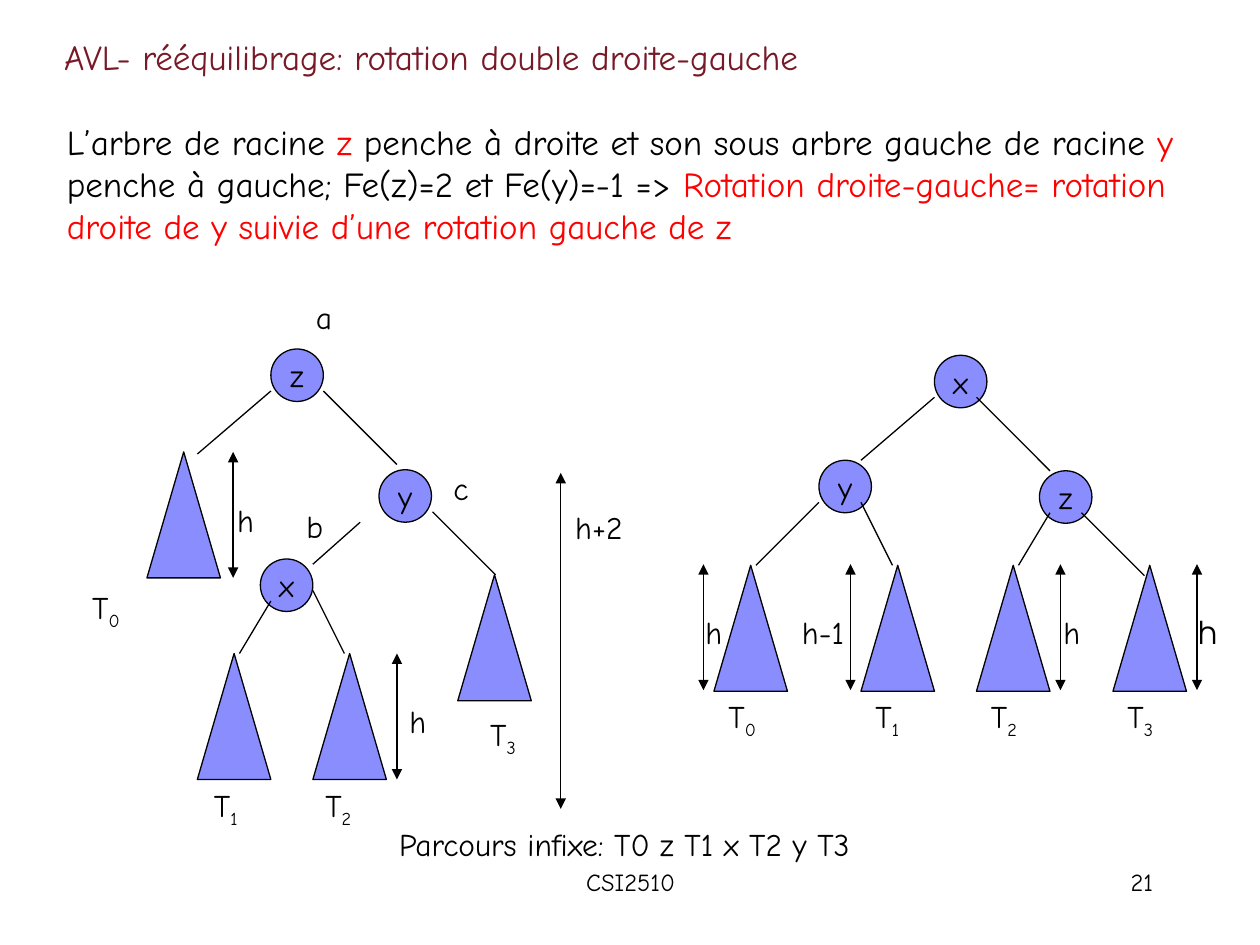
from lxml import etree
from pptx import Presentation
from pptx.dml.color import RGBColor
from pptx.enum.shapes import MSO_CONNECTOR, MSO_SHAPE
from pptx.enum.text import MSO_ANCHOR, MSO_AUTO_SIZE, PP_ALIGN
from pptx.oxml.ns import qn
from pptx.util import Inches, Pt

OVAL, TRIANGLE = MSO_SHAPE.OVAL, MSO_SHAPE.ISOSCELES_TRIANGLE
STRAIGHT = MSO_CONNECTOR.STRAIGHT
LEFT, CENTER, RIGHT = PP_ALIGN.LEFT, PP_ALIGN.CENTER, PP_ALIGN.RIGHT
TOP, MIDDLE = MSO_ANCHOR.TOP, MSO_ANCHOR.MIDDLE
NO_FIT = MSO_AUTO_SIZE.NONE

FONT, ALT_FONT = "Comic Neue", "TeX Gyre Adventor"
BLACK, RED, MAROON, LILAC = "000000", "FF0000", "771927", "8A8DFE"
CELL = 1 / 12  # grid step in inches
NODE, TREE_W, TREE_H = 5, 7, 12  # sizes in grid steps
LABEL_W = {1: 4, 2: 4.8, 3: 6.6}  # label width by number of characters


def color(value):
    return RGBColor.from_string(value)


def grid(origin, col, row):
    return Inches(origin[0] + col * CELL), Inches(origin[1] + row * CELL)


def place(sp, left, top, width, height):
    sp.left, sp.top = Inches(left), Inches(top)
    sp.width, sp.height = Inches(width), Inches(height)


def write(sp, runs, size=18, font=FONT, align=LEFT, anchor=TOP, wrap=True):
    """Fill a shape with one paragraph; a run is (text, colour[, baseline])."""
    tf = sp.text_frame
    tf.word_wrap, tf.auto_size, tf.vertical_anchor = wrap, NO_FIT, anchor
    p = tf.paragraphs[0]
    p.alignment, p.space_before = align, Pt(0)
    for text, tint, *baseline in runs:
        r = p.add_run()
        r.text = text
        r.font.size, r.font.name = Pt(size), font
        r.font.color.rgb = color(tint)
        if baseline:
            r._r.get_or_add_rPr().set("baseline", str(baseline[0]))


def add_figure(slide, kind, origin, col, row, width, height):
    sp = slide.shapes.add_shape(kind, *grid(origin, col, row),
                                Inches(width * CELL), Inches(height * CELL))
    sp.shadow.inherit = False
    sp.fill.solid()
    sp.fill.fore_color.rgb = color(LILAC)
    sp.line.color.rgb = color(BLACK)
    sp.line.width = Pt(0.75)
    return sp


def add_line(slide, origin, start, end, arrows=False):
    line = slide.shapes.add_connector(STRAIGHT, *grid(origin, *start),
                                      *grid(origin, *end))
    line.line.color.rgb = color(BLACK)
    line.line.width = Pt(0.75)
    sp_pr = line._element.spPr
    if arrows:
        for tag in ("a:headEnd", "a:tailEnd"):
            etree.SubElement(sp_pr.find(qn("a:ln")), qn(tag), type="triangle")
    etree.SubElement(sp_pr, qn("a:effectLst"))


def add_label(slide, origin, text, col, row, font=FONT):
    sp = slide.shapes.add_textbox(*grid(origin, col, row),
                                  Inches(LABEL_W[len(text)] * CELL), Inches(0.4))
    runs = [(text, BLACK)]
    if text.startswith("T"):
        runs = [("T", BLACK), (text[1:], BLACK, -25000)]
    write(sp, runs, font=font, wrap=False)


def add_tree(slide, origin, nodes, subtrees, edges, heights, labels):
    """Draw one binary tree; all positions are grid steps from origin."""
    for name, col, row in nodes:
        sp = add_figure(slide, OVAL, origin, col, row, NODE, NODE)
        write(sp, [(name, BLACK)], align=CENTER, anchor=MIDDLE, wrap=False)
    for col, row in subtrees:
        add_figure(slide, TRIANGLE, origin, col, row, TREE_W, TREE_H)
    for start, end in edges:
        add_line(slide, origin, start, end)
    for col, row, length in heights:
        add_line(slide, origin, (col, row), (col, row + length), arrows=True)
    for label in labels:
        add_label(slide, origin, *label)


def add_heading(slide):
    title, body = slide.placeholders
    place(title, 0.41, 0.23, 9.4, 0.84)
    write(title, [("AVL- rééquilibrage: rotation double droite-gauche", MAROON)],
          size=20)
    place(body, 0.43, 0.91, 9.21, 1.1)
    p_pr = body.text_frame.paragraphs[0]._p.get_or_add_pPr()
    p_pr.set("marL", "0")
    p_pr.set("indent", "0")
    etree.SubElement(p_pr, qn("a:buNone"))
    write(body, [
        ("L’arbre de racine ", BLACK), ("z", RED),
        (" penche à droite et son sous arbre gauche de racine ", BLACK),
        ("y", RED), (" penche à gauche; Fe(z)=2 et Fe(y)=-1 => ", BLACK),
        ("Rotation droite-gauche= rotation droite de y suivie d’une "
         "rotation gauche de z", RED)], size=20)


def add_note(slide, box, text, **style):
    sp = slide.shapes.add_textbox(*(Inches(v) for v in box))
    write(sp, [(text, BLACK)], **style)


def main():
    prs = Presentation()
    prs.slide_width, prs.slide_height = Inches(10), Inches(7.5)
    slide = prs.slides.add_slide(prs.slide_layouts[1])
    add_heading(slide)

    # Tree before the rotation
    add_tree(
        slide, (0.65, 2.27),
        nodes=[("y", 28.3, 17.5), ("z", 18, 6), ("x", 17, 26)],
        subtrees=[(6.2, 15.8), (11, 35), (22, 35), (35.8, 27.5)],
        edges=[((18, 10), (11, 16)), ((23, 10), (30, 17)),
               ((22, 29), (25, 35)), ((18, 30), (15, 35)),
               ((26.5, 22.5), (22, 26.5)), ((33.4, 21.5), (39.4, 27.5))],
        heights=[(14.4, 15.8, 12), (30, 35, 12), (45.6, 17.8, 32)],
        labels=[("T0", -0.2, 28.2), ("T1", 11.4, 47), ("T2", 22, 47),
                ("T3", 37.7, 40.3), ("a", 21.1, 0.6), ("b", 20.2, 20.5),
                ("c", 34.2, 16.8), ("h+2", 45.8, 20.6), ("h", 13.6, 19.9),
                ("h", 30, 39)])

    # Tree after the rotation
    leaves = (2, 16, 27, 40)
    add_tree(
        slide, (5.5, 2.82),
        nodes=[("x", 23, 0), ("y", 12, 10), ("z", 33, 11)],
        subtrees=[(col, 20) for col in leaves],
        edges=[((23, 4), (16, 10)), ((27, 4), (34, 11)),
               ((12, 14), (6, 20)), ((16, 14), (19, 20)),
               ((34, 15), (31, 20)), ((37, 15), (43, 21))],
        heights=[(col, 19.9, 12) for col in (1, 15, 35, 48)],
        labels=[(f"T{i}", col + 0.2, 32) for i, col in enumerate(leaves)]
        + [("h", 0, 24), ("h-1", 9.2, 24), ("h", 34.1, 24),
           ("h", 47, 24, ALT_FONT)])

    # Traversal and footer
    add_note(slide, (3.07, 6.5, 3.8, 0.4), "Parcours infixe: T0 z T1 x T2 y T3",
             wrap=False)
    add_note(slide, (3.42, 6.83, 3.17, 0.5), "CSI2510", size=14, align=CENTER)
    add_note(slide, (7.17, 6.83, 2.08, 0.5), "21", size=14, align=RIGHT)
    prs.save("out.pptx")


if __name__ == "__main__":
    main()
